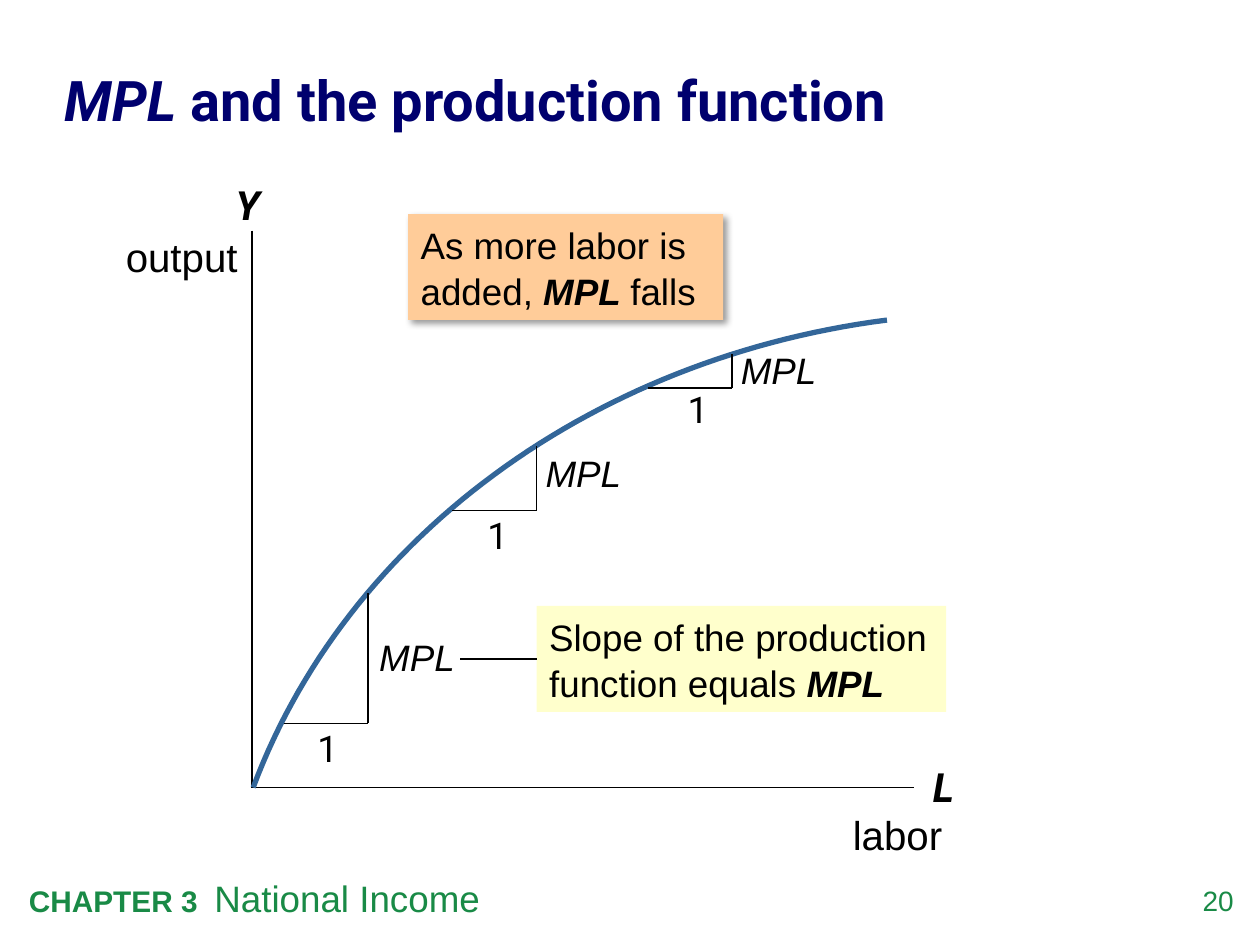
import pptx
import pptx.util
import pptx.dml.color
import pptx.enum.shapes
import pptx.enum.text
import pptx.oxml
import pptx.oxml.ns

ALIGN = pptx.enum.text.PP_ALIGN
ANCHOR = pptx.enum.text.MSO_ANCHOR
BLACK, GREEN, NAVY, BLUE = "000000", "198A46", "00006E", "336699"

TITLE = [("MPL", "bi"), (" and the production function", "b")]
FOOTER = [("CHAPTER 3  ", "b", 17), ("National Income", "", 21)]
PAGE = "20"
AXES = [
    ("Y", "output", (0.9, 1.38, 1.26, 0.91)),
    ("L", "labor", (6.67, 6, 1, 0.87)),
]
ORIGIN, TOP, RIGHT = (2, 6.25), 1.83, 7.25
CURVE = [(7.04, 2.54), (4.7, 2.84), (2.75, 4.27), (2.01, 6.25)]
RUN = 0.67
STEPS = [
    (2.92, 5.74, 4.71, (2.42, 5.71), (3.01, 5.04)),
    (4.26, 4.05, 3.54, (3.77, 4.02), (4.33, 3.58)),
    (5.81, 3.08, 2.81, (5.36, 3.02), (5.88, 2.76)),
]
FALLS = [("As more labor is added, ", ""), ("MPL ", "bi"), ("falls", "")]
SLOPE = [("Slope of the production function equals ", ""), ("MPL", "bi")]
SHADOW = (
    '<a:effectLst %s><a:outerShdw blurRad="50800" dist="38100" dir="2700000" '
    'algn="tl" rotWithShape="0"><a:srgbClr val="000000"><a:alpha val="40000"/>'
    "</a:srgbClr></a:outerShdw></a:effectLst>"
) % pptx.oxml.ns.nsdecls("a")


def inch(value):
    return pptx.util.Cm(value * 2.54)


def color(code):
    return pptx.dml.color.RGBColor.from_string(code)


def write(frame, lines, size=21, font="Arial", ink=BLACK, align=ALIGN.LEFT,
          inset=True, anchor=ANCHOR.TOP, lead=None, gap=0):
    frame.word_wrap = True
    frame.vertical_anchor = anchor
    if not inset:
        frame.margin_left = frame.margin_right = 0
        frame.margin_top = frame.margin_bottom = 0
    for i, line in enumerate(lines):
        para = frame.add_paragraph() if i else frame.paragraphs[0]
        para.alignment = align[i] if isinstance(align, tuple) else align
        para.space_before = pptx.util.Pt(gap if i else 0)
        if lead:
            para.line_spacing = lead
        for words, style, *own in line:
            run = para.add_run()
            run.text = words
            run.font.name = font[i] if isinstance(font, tuple) else font
            run.font.size = pptx.util.Pt(own[0] if own else size)
            run.font.bold = "b" in style
            run.font.italic = "i" in style
            run.font.color.rgb = color(ink)


def label(slide, box, lines, **look):
    shape = slide.shapes.add_textbox(*map(inch, box))
    write(shape.text_frame, lines, **look)


def note(slide, box, runs, fill):
    shape = slide.shapes.add_shape(
        pptx.enum.shapes.MSO_SHAPE.RECTANGLE, *map(inch, box))
    shape.shadow.inherit = False
    shape.fill.solid()
    shape.fill.fore_color.rgb = color(fill)
    shape.line.fill.background()
    write(shape.text_frame, [runs], lead=1.05)
    return shape


def rule(slide, start, end):
    line = slide.shapes.add_connector(
        pptx.enum.shapes.MSO_CONNECTOR.STRAIGHT, *map(inch, (*start, *end)))
    line.line.color.rgb = color(BLACK)
    line.line.width = pptx.util.Pt(0.75)
    line._element.spPr.append(pptx.oxml.parse_xml(
        "<a:effectLst %s/>" % pptx.oxml.ns.nsdecls("a")))
    return line


def bend(t):
    parts = ((1 - t) ** 3, 3 * t * (1 - t) ** 2, 3 * t * t * (1 - t), t ** 3)
    return tuple(inch(sum(w * p[k] for w, p in zip(parts, CURVE)))
                 for k in (0, 1))


def main():
    deck = pptx.Presentation()
    deck.slide_width, deck.slide_height = inch(10), inch(7.5)
    slide = deck.slides.add_slide(deck.slide_layouts[5])

    title = slide.shapes.title
    title.left, title.top, title.width, title.height = map(
        inch, (0.51, 0.26, 9.02, 1.03))
    write(title.text_frame, [TITLE], size=32, font="Roboto", ink=NAVY,
          inset=False, anchor=ANCHOR.MIDDLE, lead=1.05)
    label(slide, (0.13, 6.9, 8.18, 0.45), [FOOTER], ink=GREEN)
    label(slide, (9.24, 7.01, 0.55, 0.32), [[(PAGE, "")]], size=16,
          ink=GREEN, align=ALIGN.RIGHT, inset=False)

    for sign, name, box in AXES:
        label(slide, box, [[(sign, "bi")], [(name, "")]], size=23,
              font=("Roboto", "Arial"), align=(ALIGN.RIGHT, ALIGN.LEFT),
              gap=2 if sign == "Y" else 0)
    rule(slide, (ORIGIN[0], TOP), ORIGIN)
    rule(slide, ORIGIN, (RIGHT, ORIGIN[1]))

    dots = [bend(i / 60) for i in range(61)]
    pen = slide.shapes.build_freeform(*dots[0])
    pen.add_line_segments(dots[1:], close=False)
    curve = pen.convert_to_shape()
    curve.shadow.inherit = False
    curve.fill.background()
    curve.line.color.rgb = color(BLUE)
    curve.line.width = pptx.util.Pt(3)

    for x, low, high, one, mark in STEPS:
        rule(slide, (x, low), (x, high))
        rule(slide, (x - RUN, low), (x, low))
        label(slide, (*one, 0.42, 0.45), [[("1", "")]], font="Roboto")
        label(slide, (*mark, 0.7, 0.35), [[("MPL", "i")]], inset=False)

    falls = note(slide, (3.24, 1.7, 2.5, 0.84), FALLS, "FFCC99")
    spot = falls._element.spPr
    spot.remove(spot.find(pptx.oxml.ns.qn("a:effectLst")))
    spot.append(pptx.oxml.parse_xml(SHADOW))
    slope = note(slide, (4.26, 4.81, 3.25, 0.84), SLOPE, "FFFFCC")
    rule(slide, (4.26, 5.23), (3.65, 5.23)).begin_connect(slope, 1)

    deck.save("out.pptx")


if __name__ == "__main__":
    main()
